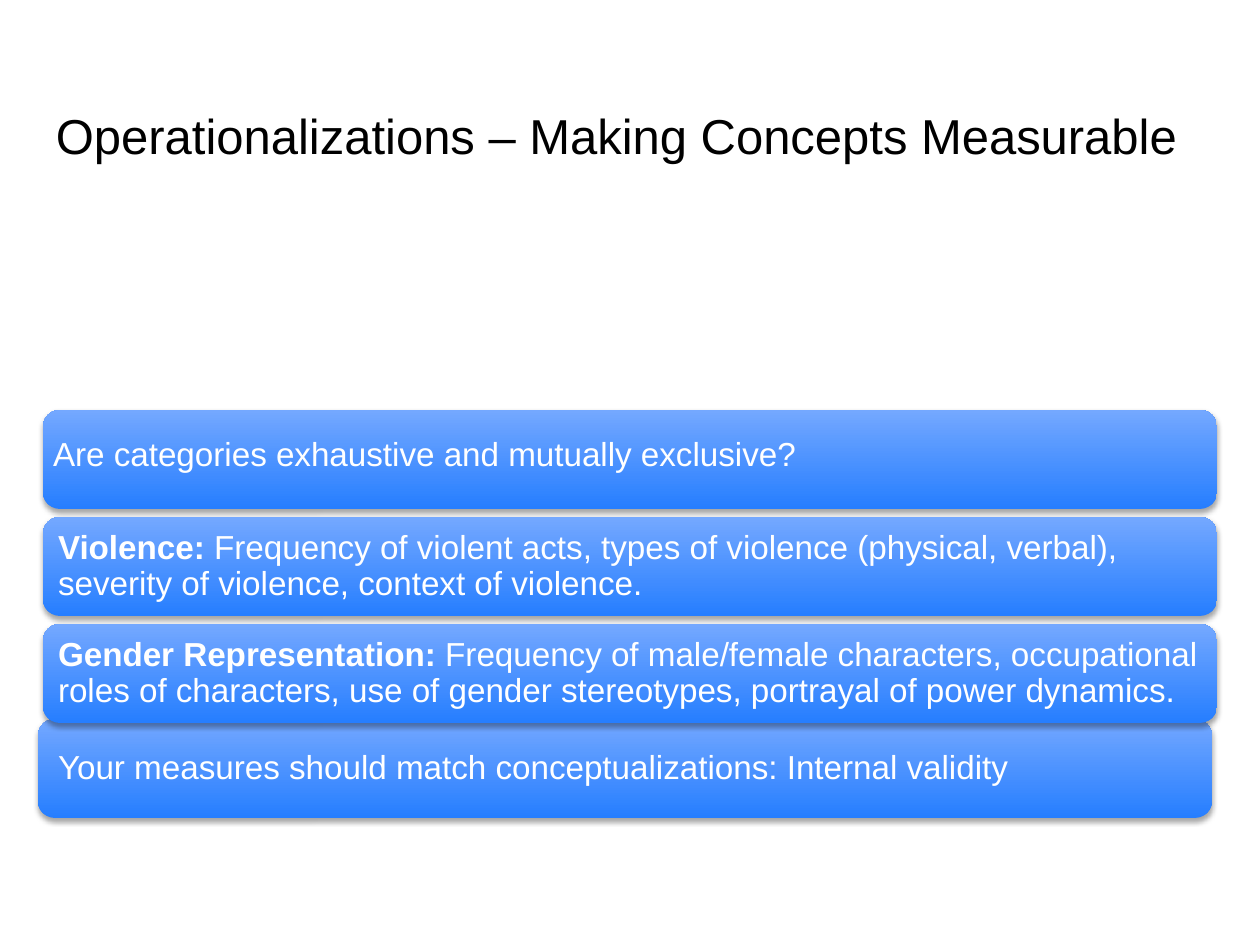
import pptx
import pptx.dml.color
import pptx.enum.shapes
import pptx.enum.text
import pptx.util
from lxml import etree
from pptx.oxml.ns import qn

PX = 914400 / 126
THEME = {
    "font": "Arial",
    "title_size": 28,
    "bar_size": 19,
    "title": "000000",
    "bar_text": "FFFFFF",
    "bar_bottom": "267EFF",
    "bar_top": "74A8FF",
    "shadow": "000000",
}
BAR_WIDTH, BAR_HEIGHT = 1174, 99
LABEL_WIDTH, LABEL_HEIGHT = 1164, 89
BAR_LEFT, FIRST_TOP, PITCH = 43, 410, 107


def px(*lengths):
    return [pptx.util.Emu(round(length * PX)) for length in lengths]


def add_text(box, inset, runs, size, color, line_spacing):
    textbox = slide.shapes.add_textbox(*px(*box))
    frame = textbox.text_frame
    frame.word_wrap = True
    frame.vertical_anchor = pptx.enum.text.MSO_ANCHOR.MIDDLE
    frame.margin_left, frame.margin_top, frame.margin_right, frame.margin_bottom = px(*[inset] * 4)
    paragraph = frame.paragraphs[0]
    paragraph.line_spacing = line_spacing
    paragraph.font.name = THEME["font"]
    paragraph.font.size = pptx.util.Pt(size)
    paragraph.font.color.rgb = pptx.dml.color.RGBColor.from_string(color)
    for text, bold in runs:
        run = paragraph.add_run()
        run.text = text
        if bold:
            run.font.bold = True


presentation = pptx.Presentation()
presentation.slide_width, presentation.slide_height = px(1260, 945)
slide = presentation.slides.add_slide(presentation.slide_layouts[6])

add_text((43, 82, 1174, 105), 13,
         [("Operationalizations – Making Concepts Measurable", False)],
         THEME["title_size"], THEME["title"], 1.0)

bars = [
    (38, 719, 10, 5, [("Your measures should match conceptualizations: Internal validity", False)]),
    (BAR_LEFT, FIRST_TOP, 0, 1, [("Are categories exhaustive and mutually exclusive?", False)]),
    (BAR_LEFT, FIRST_TOP + PITCH, 5, 5, [
        ("Violence:", True),
        (" Frequency of violent acts, types of violence (physical, verbal), "
         "severity of violence, context of violence.", False)]),
    (BAR_LEFT, FIRST_TOP + 2 * PITCH, 5, 5, [
        ("Gender Representation:", True),
        (" Frequency of male/female characters, occupational roles of characters, "
         "use of gender stereotypes, portrayal of power dynamics.", False)]),
]

for left, top, label_dx, label_dy, runs in bars:
    bar = slide.shapes.add_shape(pptx.enum.shapes.MSO_SHAPE.ROUNDED_RECTANGLE,
                                 *px(left, top, BAR_WIDTH, BAR_HEIGHT))
    bar.adjustments[0] = 0.17
    bar.line.fill.background()
    bar.fill.gradient()
    bar.fill.gradient_angle = 90
    for stop, name in zip(bar.fill.gradient_stops, ("bar_bottom", "bar_top")):
        stop.color.rgb = pptx.dml.color.RGBColor.from_string(THEME[name])

    bar.shadow.inherit = False
    effects = bar.element.spPr.find(qn("a:effectLst"))
    shadow = etree.SubElement(effects, qn("a:outerShdw"), blurRad=str(pptx.util.Pt(3.1)),
                              dist=str(pptx.util.Pt(1.8)), dir="5400000", rotWithShape="0")
    shadow_color = etree.SubElement(shadow, qn("a:srgbClr"), val=THEME["shadow"])
    etree.SubElement(shadow_color, qn("a:alpha"), val="34000")

    add_text((left + label_dx, top + label_dy, LABEL_WIDTH, LABEL_HEIGHT), 10,
             runs, THEME["bar_size"], THEME["bar_text"], 0.9)

presentation.save("out.pptx")
